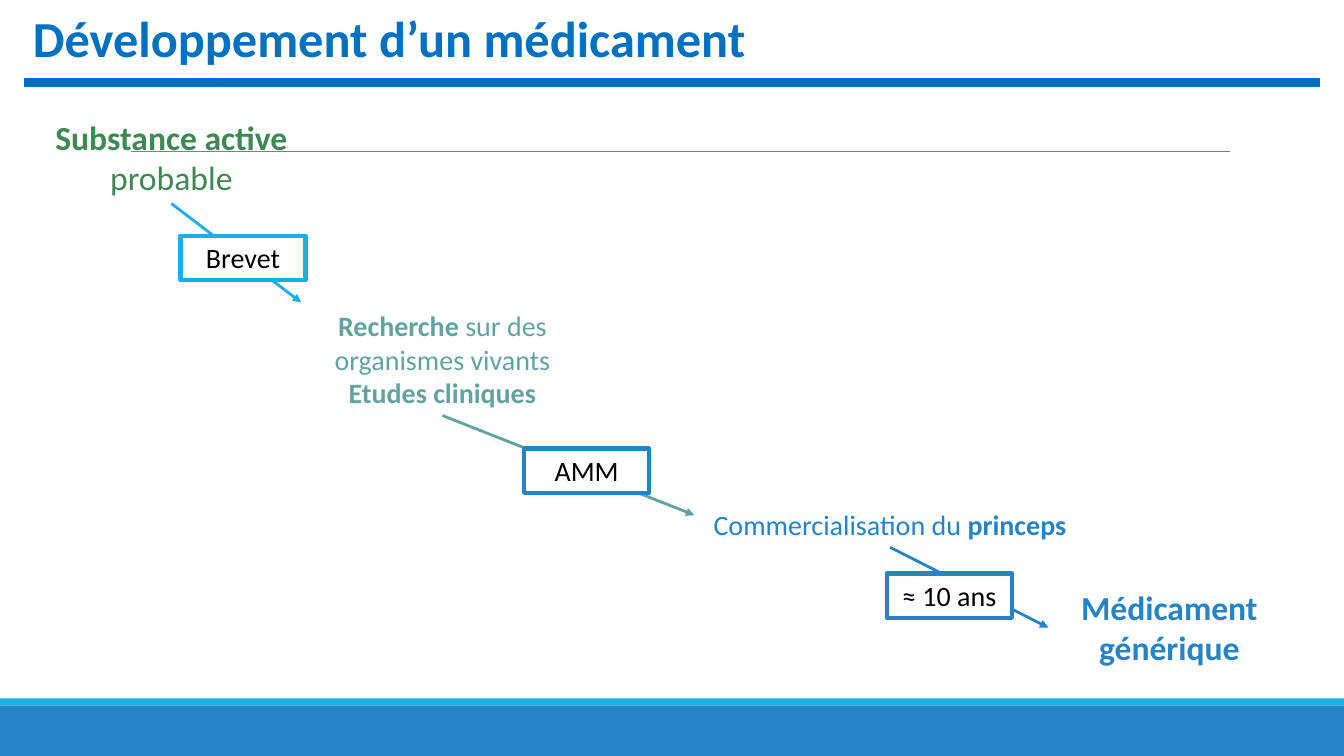
"""Build the slide on the development of a medicine, from active substance to generic."""
from dataclasses import dataclass
from typing import Optional

from pptx import Presentation
from pptx.dml.color import RGBColor
from pptx.enum.shapes import MSO_CONNECTOR as Conn, MSO_SHAPE as Shp
from pptx.enum.text import MSO_ANCHOR as Anchor, MSO_AUTO_SIZE as Fit, PP_ALIGN as Align
from pptx.oxml.ns import qn
from pptx.util import Cm, Pt
from lxml.etree import SubElement


@dataclass(frozen=True)
class Theme:
    """Colours, font and type sizes."""
    font: str = "Calibri"
    white: str = "FFFFFF"
    black: str = "000000"
    grey: str = "808080"
    title: str = "0070C0"
    cyan: str = "1CADE4"
    blue: str = "2683C6"
    green: str = "3E8853"
    teal: str = "62A39F"
    title_size: int = 36
    large: int = 24
    body: int = 20


@dataclass(frozen=True)
class Area:
    """A rectangle in centimetres."""
    left: float
    top: float
    width: float
    height: float

    def lengths(self) -> tuple:
        """Return the rectangle as lengths."""
        return Cm(self.left), Cm(self.top), Cm(self.width), Cm(self.height)


@dataclass(frozen=True)
class Step:
    """A stage of development; each paragraph lists (text, bold) runs."""
    area: Area
    paragraphs: tuple
    size: int
    color: str


@dataclass(frozen=True)
class Milestone:
    """A boxed label on the arrow to the next step, joined when it has no tip."""
    left: float
    top: float
    label: str
    border: str
    arrow: str
    tip: Optional[tuple] = None


T = Theme()
WIDTH, HEIGHT = 33.87, 19.05
BOX_WIDTH, BOX_HEIGHT = 3.15, 1.12
BOTTOM, LEFT = 2, 1

BANDS = ((Area(0, 17.78, WIDTH, 1.27), T.blue), (Area(0, 17.6, WIDTH, 0.18), T.cyan))
STEPS = (
    Step(Area(0.61, 2.82, 7.42, 2.31),
         ((("Substance active ", True), ("probable", False)),), T.large, T.green),
    Step(Area(7.44, 7.65, 7.42, 2.82),
         ((("Recherche", True), (" sur des organismes vivants", False)),
          (("Etudes cliniques", True),)), T.body, T.teal),
    Step(Area(17.35, 12.67, 10.16, 1.12),
         ((("Commercialisation du ", False), ("princeps", True)),), T.body, T.blue),
    Step(Area(26.42, 14.66, 6.1, 2.31),
         ((("Médicament générique", True),),), T.large, T.blue),
)
MILESTONES = (
    Milestone(4.55, 5.94, "Brevet", T.cyan, T.cyan, (7.59, 7.62)),
    Milestone(13.21, 11.3, "AMM", T.blue, T.teal, (17.5, 12.98)),
    Milestone(22.35, 14.45, "≈ 10 ans", T.blue, T.blue),
)


def rgb(color: str) -> RGBColor:
    """Turn a hex string into a colour."""
    return RGBColor.from_string(color)


def write(tf, paragraphs: tuple, size: int, color: str, **frame) -> None:
    """Fill a text frame with paragraphs of (text, bold) runs."""
    for name, value in {"word_wrap": True, **frame}.items():
        setattr(tf, name, value)
    for i, runs in enumerate(paragraphs):
        p = tf.add_paragraph() if i else tf.paragraphs[0]
        p.alignment = Align.CENTER
        for text, bold in runs:
            r = p.add_run()
            r.text = text
            for name, value in {"name": T.font, "size": Pt(size), "bold": bold}.items():
                setattr(r.font, name, value)
            r.font.color.rgb = rgb(color)


def add_box(s, area: Area, fill: str, border: Optional[str] = None):
    """Draw a filled rectangle, with a border if a colour is given."""
    sp = s.shapes.add_shape(Shp.RECTANGLE, *area.lengths())
    sp.shadow.inherit = False
    sp.fill.solid()
    sp.fill.fore_color.rgb = rgb(fill)
    if border:
        sp.line.color.rgb = rgb(border)
        sp.line.width = Pt(3)
    else:
        sp.line.fill.background()
    return sp


def add_line(s, start: tuple, end: tuple, color: str, width: float, arrow: bool = False):
    """Draw a straight line between two points in centimetres."""
    line = s.shapes.add_connector(Conn.STRAIGHT, *(Cm(v) for v in start + end))
    line.line.color.rgb = rgb(color)
    line.line.width = Pt(width)
    if arrow:
        SubElement(line.line._get_or_add_ln(), qn("a:tailEnd"), type="triangle")
    SubElement(line._element.spPr, qn("a:effectLst"))
    return line


def add_title(s) -> None:
    """Write the title and draw the rule under it."""
    tf = s.shapes.add_textbox(*Area(0, 0, WIDTH, 2.08).lengths()).text_frame
    write(tf, ((("Développement d’un médicament", True),),), T.title_size, T.title,
          vertical_anchor=Anchor.MIDDLE, margin_left=Cm(0.83))
    p = tf.paragraphs[0]
    p.alignment = Align.LEFT
    p.line_spacing = 0.9
    add_line(s, (0.61, 2.08), (33.27, 2.08), T.title, 6)


def add_step(s, step: Step):
    """Write one stage of development."""
    sp = s.shapes.add_textbox(*step.area.lengths())
    write(sp.text_frame, step.paragraphs, step.size, step.color,
          auto_size=Fit.SHAPE_TO_FIT_TEXT)
    return sp


def add_arrow(s, milestone: Milestone, source, target) -> None:
    """Draw the arrow from one step towards the next."""
    line = add_line(s, (0, 0), milestone.tip or (0, 0), milestone.arrow, 2, arrow=True)
    line.begin_connect(source, BOTTOM)
    if milestone.tip is None:
        line.end_connect(target, LEFT)


def add_milestone(s, milestone: Milestone) -> None:
    """Draw the boxed label of a milestone."""
    area = Area(milestone.left, milestone.top, BOX_WIDTH, BOX_HEIGHT)
    sp = add_box(s, area, T.white, milestone.border)
    write(sp.text_frame, (((milestone.label, False),),), T.body, T.black,
          auto_size=Fit.SHAPE_TO_FIT_TEXT, vertical_anchor=Anchor.TOP)


def main() -> None:
    """Build and save the slide."""
    prs = Presentation()
    prs.slide_width, prs.slide_height = Cm(WIDTH), Cm(HEIGHT)
    s = prs.slides.add_slide(prs.slide_layouts[6])
    for area, color in BANDS:
        add_box(s, area, color)
    add_line(s, (3.3, 3.81), (30.99, 3.81), T.grey, 0.5)
    add_title(s)
    steps = [add_step(s, step) for step in STEPS]
    for milestone, source, target in zip(MILESTONES, steps, steps[1:]):
        add_arrow(s, milestone, source, target)
    for milestone in MILESTONES:
        add_milestone(s, milestone)
    prs.save("out.pptx")


if __name__ == "__main__":
    main()
